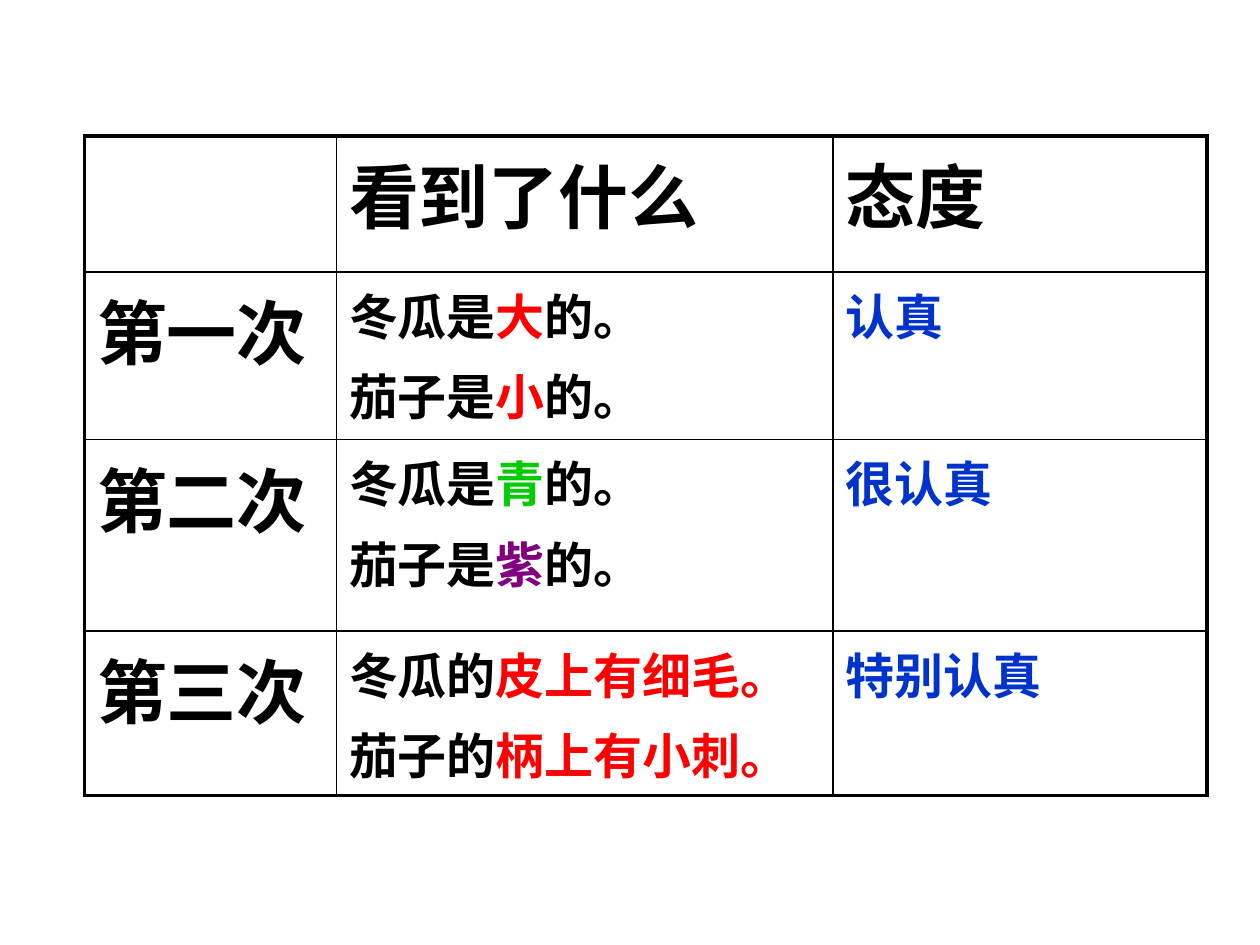
"""Build a slide with a bordered table of three observations and attitudes."""
from lxml import etree
from pptx import Presentation
from pptx.dml.color import RGBColor
from pptx.oxml.ns import qn
from pptx.util import Inches, Pt

BLACK = RGBColor(0x00, 0x00, 0x00)
RED = RGBColor(0xFF, 0x00, 0x00)
GREEN = RGBColor(0x00, 0xCC, 0x00)
PURPLE = RGBColor(0x80, 0x00, 0x80)
BLUE = RGBColor(0x00, 0x33, 0xCC)
THIN, THICK = 1, 2.25
HEADING, BODY = 40, 28

COLUMN_WIDTHS = [2, 3.94, 2.97]
ROW_HEIGHTS = [1.08, 1.33, 1.52, 1.3]
ROWS = [
    [[], [[("看到了什么", BLACK)]], [[("态度", BLACK)]]],
    [
        [[("第一次", BLACK)]],
        [[("冬瓜是", BLACK), ("大", RED), ("的。", BLACK)],
         [("茄子是", BLACK), ("小", RED), ("的。", BLACK)]],
        [[("认真", BLUE)]],
    ],
    [
        [[("第二次", BLACK)]],
        [[("冬瓜是", BLACK), ("青", GREEN), ("的。", BLACK)],
         [("茄子是", BLACK), ("紫", PURPLE), ("的。", BLACK)]],
        [[("很认真", BLUE)]],
    ],
    [
        [[("第三次", BLACK)]],
        [[("冬瓜的", BLACK), ("皮上有细毛。", RED)],
         [("茄子的", BLACK), ("柄上有小刺。", RED)]],
        [[("特别认真", BLUE)]],
    ],
]


def add_border(cell, side, width):
    properties = cell._tc.get_or_add_tcPr()
    line = etree.SubElement(properties, qn(f"a:{side}"), w=str(Pt(width)))
    fill = etree.SubElement(line, qn("a:solidFill"))
    etree.SubElement(fill, qn("a:srgbClr"), val=str(BLACK))


def write_paragraph(paragraph, parts, size):
    properties = paragraph._p.get_or_add_pPr()
    spacing = etree.SubElement(properties, qn("a:spcBef"))
    etree.SubElement(spacing, qn("a:spcPct"), val="20000")
    font_format = {"name": "Times New Roman", "size": Pt(size), "bold": True}
    for text, color in parts:
        run = paragraph.add_run()
        run.text = text
        for attribute, value in font_format.items():
            setattr(run.font, attribute, value)
        run.font.color.rgb = color


presentation = Presentation()
presentation.slide_width = Inches(10)
presentation.slide_height = Inches(7.5)
slide = presentation.slides.add_slide(presentation.slide_layouts[6])

table = slide.shapes.add_table(
    len(ROW_HEIGHTS), len(COLUMN_WIDTHS), Inches(0.67), Inches(1.08),
    Inches(sum(COLUMN_WIDTHS)), Inches(sum(ROW_HEIGHTS)),
).table
table.first_row = False
table.horz_banding = False
for column, width in zip(table.columns, COLUMN_WIDTHS):
    column.width = Inches(width)
for row, height in zip(table.rows, ROW_HEIGHTS):
    row.height = Inches(height)

last_row, last_column = len(ROW_HEIGHTS) - 1, len(COLUMN_WIDTHS) - 1
for row_index, row in enumerate(ROWS):
    for column_index, paragraphs in enumerate(row):
        cell = table.cell(row_index, column_index)
        outer_sides = {
            "lnL": column_index == 0,
            "lnR": column_index == last_column,
            "lnT": row_index == 0,
            "lnB": row_index == last_row,
        }
        for side, is_outer in outer_sides.items():
            add_border(cell, side, THICK if is_outer else THIN)
        cell.fill.background()
        size = HEADING if row_index == 0 or column_index == 0 else BODY
        for index, parts in enumerate(paragraphs):
            frame = cell.text_frame
            paragraph = frame.add_paragraph() if index else frame.paragraphs[0]
            write_paragraph(paragraph, parts, size)

presentation.save("out.pptx")
